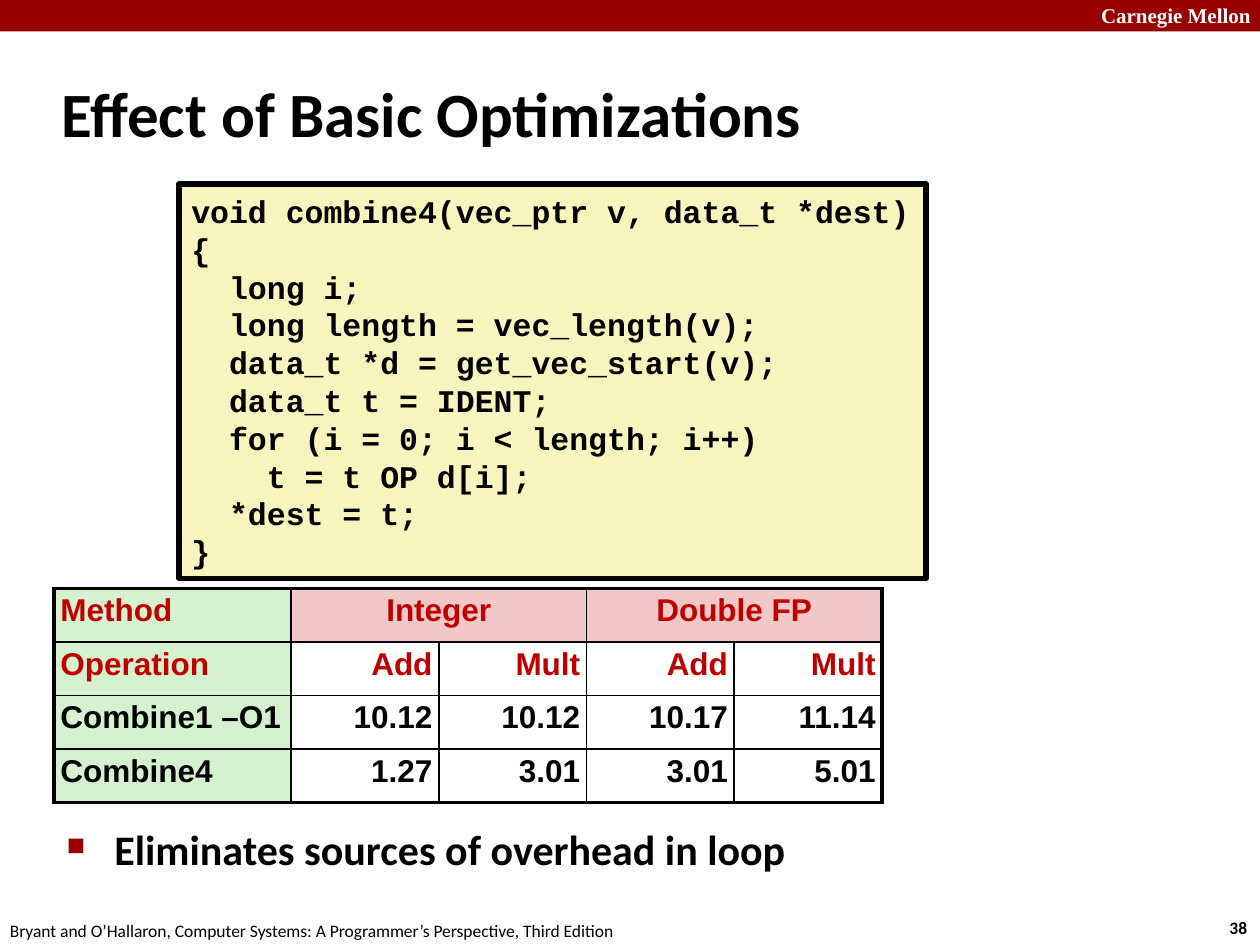
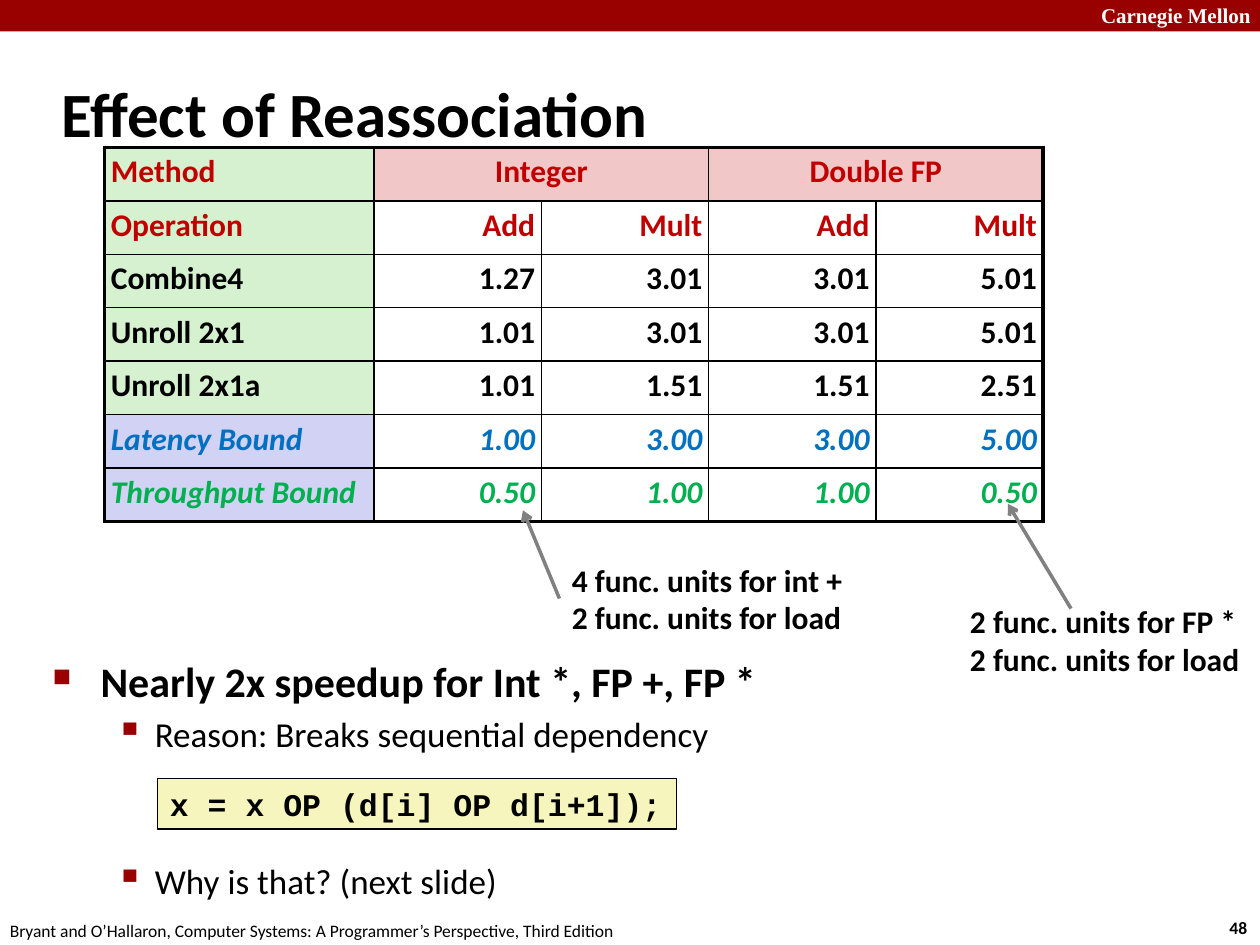
"""Build two lecture slides on program optimization."""
from dataclasses import dataclass, replace
from typing import NamedTuple, Optional

from lxml.etree import SubElement
from pptx import Presentation
from pptx.dml.color import RGBColor
from pptx.enum.shapes import MSO_CONNECTOR, MSO_SHAPE
from pptx.enum.text import MSO_ANCHOR, PP_ALIGN
from pptx.oxml.ns import qn
from pptx.util import Inches, Pt


@dataclass(frozen=True)
class TextStyle:
    size: float
    font: str = "Calibri"
    color: str = "000000"
    bold: bool = True
    italic: bool = False


@dataclass(frozen=True)
class Theme:
    band: str = "990000"
    black: str = "000000"
    arrow: str = "808080"
    code_fill: str = "F6F5BD"
    label_fill: str = "D5F1CF"
    bound_fill: str = "D2D2F4"
    group_fill: str = "F1C7C7"
    heading: str = "C00000"
    latency: str = "0070C0"
    throughput: str = "00B050"
    inner_line: float = 1
    outer_line: float = 2.25
    title: TextStyle = TextStyle(36)
    bullet: TextStyle = TextStyle(24)
    sub_bullet: TextStyle = TextStyle(20, bold=False)
    body: TextStyle = TextStyle(18)
    code: TextStyle = TextStyle(18, "Courier New")
    school: TextStyle = TextStyle(12, "Times New Roman", "FFFFFF")
    number: TextStyle = TextStyle(10)
    footer: TextStyle = TextStyle(10, bold=False)


THEME = Theme()


class Box(NamedTuple):
    left: float
    top: float
    width: float
    height: float

    def lengths(self) -> list:
        return [Inches(value) for value in self]


class BulletLevel(NamedTuple):
    symbol: str
    size_percent: int
    margin: float
    hanging: float
    style: TextStyle


LEVELS = (
    BulletLevel("■", 60, 0.38, 0.38, THEME.bullet),
    BulletLevel("▪", 110, 0.81, 0.31, THEME.sub_bullet),
)


class Bullet(NamedTuple):
    text: str
    level: int = 0
    space_before: float = 0


@dataclass(frozen=True)
class TableRow:
    label: str
    values: tuple
    label_fill: str = THEME.label_fill
    color: str = THEME.black
    italic: bool = False


class Callout(NamedTuple):
    box: Box
    lines: tuple
    start: tuple
    end: tuple


HEADINGS = (
    TableRow("Method", ("Integer", "", "Double FP", ""), color=THEME.heading),
    TableRow("Operation", ("Add", "Mult") * 2, color=THEME.heading),
)
COMBINE4 = TableRow("Combine4", ("1.27", "3.01", "3.01", "5.01"))
BASIC_ROWS = HEADINGS + (
    TableRow("Combine1 –O1", ("10.12", "10.12", "10.17", "11.14")),
    COMBINE4,
)
REASSOCIATION_ROWS = HEADINGS + (
    COMBINE4,
    TableRow("Unroll 2x1", ("1.01", "3.01", "3.01", "5.01")),
    TableRow("Unroll 2x1a", ("1.01", "1.51", "1.51", "2.51")),
    TableRow("Latency Bound", ("1.00", "3.00", "3.00", "5.00"),
             THEME.bound_fill, THEME.latency, True),
    TableRow("Throughput Bound", ("0.50", "1.00", "1.00", "0.50"),
             THEME.bound_fill, THEME.throughput, True),
)
COMBINE4_CODE = """void combine4(vec_ptr v, data_t *dest)
{
  long i;
  long length = vec_length(v);
  data_t *d = get_vec_start(v);
  data_t t = IDENT;
  for (i = 0; i < length; i++)
    t = t OP d[i];
  *dest = t;
}"""
CALLOUTS = (
    Callout(Box(7.6, 4.73, 2.4, 0.71),
            ("2 func. units for FP *", "2 func. units for load"),
            (8.5, 4.83), (8, 4)),
    Callout(Box(4.44, 4.4, 2.4, 0.71),
            ("4 func. units for int +", "2 func. units for load"),
            (4.44, 4.75), (4.15, 4.05)),
)


def add_run(paragraph, text: str, style: TextStyle) -> None:
    run = paragraph.add_run()
    run.text = text
    font = run.font
    font.size, font.name = Pt(style.size), style.font
    font.bold, font.italic = style.bold, style.italic
    font.color.rgb = RGBColor.from_string(style.color)


def paragraph_at(frame, index: int):
    return frame.add_paragraph() if index else frame.paragraphs[0]


def write_lines(shape, lines, style: TextStyle, wrap: bool = False) -> None:
    frame = shape.text_frame
    frame.word_wrap = wrap
    for index, line in enumerate(lines):
        paragraph = paragraph_at(frame, index)
        paragraph.alignment = PP_ALIGN.LEFT
        add_run(paragraph, line, style)


def add_text(slide, box: Box, lines, style: TextStyle, wrap: bool = False):
    shape = slide.shapes.add_textbox(*box.lengths())
    write_lines(shape, lines, style, wrap)
    return shape


def add_rectangle(slide, box: Box, fill: str, line_width: float = 0):
    shape = slide.shapes.add_shape(MSO_SHAPE.RECTANGLE, *box.lengths())
    shape.shadow.inherit = False
    shape.fill.solid()
    shape.fill.fore_color.rgb = RGBColor.from_string(fill)
    if line_width:
        shape.line.color.rgb = RGBColor.from_string(THEME.black)
        shape.line.width = Pt(line_width)
    else:
        shape.line.fill.background()
    return shape


def add_code(slide, box: Box, code: str, line_width: float) -> None:
    shape = add_rectangle(slide, box, THEME.code_fill, line_width)
    write_lines(shape, code.split("\n"), THEME.code)


def add_bullets(slide, box: Box, bullets) -> None:
    frame = slide.shapes.add_textbox(*box.lengths()).text_frame
    frame.word_wrap = True
    for index, bullet in enumerate(bullets):
        level = LEVELS[bullet.level]
        paragraph = paragraph_at(frame, index)
        if index:
            paragraph.space_before = Pt(bullet.space_before)
        properties = paragraph._p.get_or_add_pPr()
        properties.set("marL", str(Inches(level.margin)))
        properties.set("indent", str(-Inches(level.hanging)))
        color = SubElement(properties, qn("a:buClr"))
        SubElement(color, qn("a:srgbClr"), val=THEME.band)
        SubElement(properties, qn("a:buSzPct"), val=str(level.size_percent * 1000))
        SubElement(properties, qn("a:buChar"), char=level.symbol)
        add_run(paragraph, bullet.text, level.style)


def set_borders(cell, outer_sides: dict) -> None:
    properties = cell._tc.get_or_add_tcPr()
    for side, is_outer in outer_sides.items():
        width = THEME.outer_line if is_outer else THEME.inner_line
        line = SubElement(properties, qn(f"a:ln{side}"), w=str(Pt(width)))
        fill = SubElement(line, qn("a:solidFill"))
        SubElement(fill, qn("a:srgbClr"), val=THEME.black)


def fill_cell(cell, text: str, style: TextStyle, alignment, fill: Optional[str]) -> None:
    cell.margin_left = cell.margin_right = Inches(0.05)
    cell.margin_top = cell.margin_bottom = Inches(0.05)
    if fill:
        cell.fill.solid()
        cell.fill.fore_color.rgb = RGBColor.from_string(fill)
    else:
        cell.fill.background()
    if text:
        paragraph = cell.text_frame.paragraphs[0]
        paragraph.alignment = alignment
        paragraph.line_spacing = 0.95
        add_run(paragraph, text, style)


def add_timing_table(slide, box: Box, label_width: float, rows, font: str) -> None:
    last_row, last_column = len(rows) - 1, len(rows[0].values)
    table = slide.shapes.add_table(last_row + 1, last_column + 1, *box.lengths()).table
    table.first_row = table.horz_banding = False
    for index, column in enumerate(table.columns):
        value_width = (box.width - label_width) / last_column
        column.width = Inches(value_width if index else label_width)
    for row_index, row in enumerate(rows):
        table.rows[row_index].height = Inches(box.height / len(rows))
        style = replace(THEME.body, font=font, color=row.color, italic=row.italic)
        for column_index, text in enumerate((row.label, *row.values)):
            cell = table.cell(row_index, column_index)
            is_group = row_index == 0 and column_index > 0
            span = 2 if is_group and text else 1
            set_borders(cell, {
                "L": column_index == 0,
                "R": column_index + span - 1 == last_column,
                "T": row_index == 0,
                "B": row_index == last_row,
            })
            if column_index == 0:
                alignment, fill = PP_ALIGN.LEFT, row.label_fill
            elif is_group:
                alignment, fill = PP_ALIGN.CENTER, THEME.group_fill
            else:
                alignment, fill = PP_ALIGN.RIGHT, None
            fill_cell(cell, text, style, alignment, fill)
    for first in range(1, last_column, 2):
        table.cell(0, first).merge(table.cell(0, first + 1))


def add_callout(slide, callout: Callout) -> None:
    points = [Inches(value) for value in callout.start + callout.end]
    connector = slide.shapes.add_connector(MSO_CONNECTOR.STRAIGHT, *points)
    connector.line.color.rgb = RGBColor.from_string(THEME.arrow)
    connector.line.width = Pt(2)
    SubElement(connector.line._get_or_add_ln(), qn("a:tailEnd"), type="arrow")
    SubElement(connector._element.spPr, qn("a:effectLst"))
    add_text(slide, callout.box, callout.lines, THEME.body)


def add_slide(presentation, title: str, number: int):
    slide = presentation.slides.add_slide(presentation.slide_layouts[6])
    add_rectangle(slide, Box(0, 0, 10, 0.25), THEME.band)
    add_text(slide, Box(8.64, -0.03, 1.43, 0.3), ["Carnegie Mellon"], THEME.school, True)
    add_text(slide, Box(9.66, 7.23, 0.37, 0.27), [str(number)], THEME.number)
    citation = ("Bryant and O’Hallaron, Computer Systems: "
                "A Programmer’s Perspective, Third Edition")
    add_text(slide, Box(-0.02, 7.25, 5.08, 0.27), [citation], THEME.footer)
    heading = add_text(slide, Box(0.39, 0.48, 8.3, 0.83), [title], THEME.title, True)
    heading.text_frame.vertical_anchor = MSO_ANCHOR.MIDDLE
    return slide


def main() -> None:
    presentation = Presentation()
    presentation.slide_width, presentation.slide_height = Inches(10), Inches(7.5)

    basic = add_slide(presentation, "Effect of Basic Optimizations", 38)
    add_bullets(basic, Box(0.43, 6.49, 8.64, 0.59),
                [Bullet("Eliminates sources of overhead in loop")])
    add_code(basic, Box(1.42, 1.46, 5.93, 3.13), COMBINE4_CODE, 3)
    add_timing_table(basic, Box(0.43, 4.67, 6.57, 1.7), 1.88, BASIC_ROWS, "Arial")

    reassociation = add_slide(presentation, "Effect of Reassociation", 48)
    add_bullets(reassociation, Box(0.32, 5.15, 9.09, 1.9), [
        Bullet("Nearly 2x speedup for Int *, FP +, FP *"),
        Bullet("Reason: Breaks sequential dependency", 1, 4),
        Bullet("Why is that? (next slide)", 1, 60),
    ])
    add_code(reassociation, Box(1.25, 6.18, 4.12, 0.4), "x = x OP (d[i] OP d[i+1]);", 1)
    add_timing_table(reassociation, Box(0.83, 1.17, 7.45, 2.97), 2.14,
                     REASSOCIATION_ROWS, "Calibri")
    for callout in CALLOUTS:
        add_callout(reassociation, callout)

    presentation.save("out.pptx")


if __name__ == "__main__":
    main()
